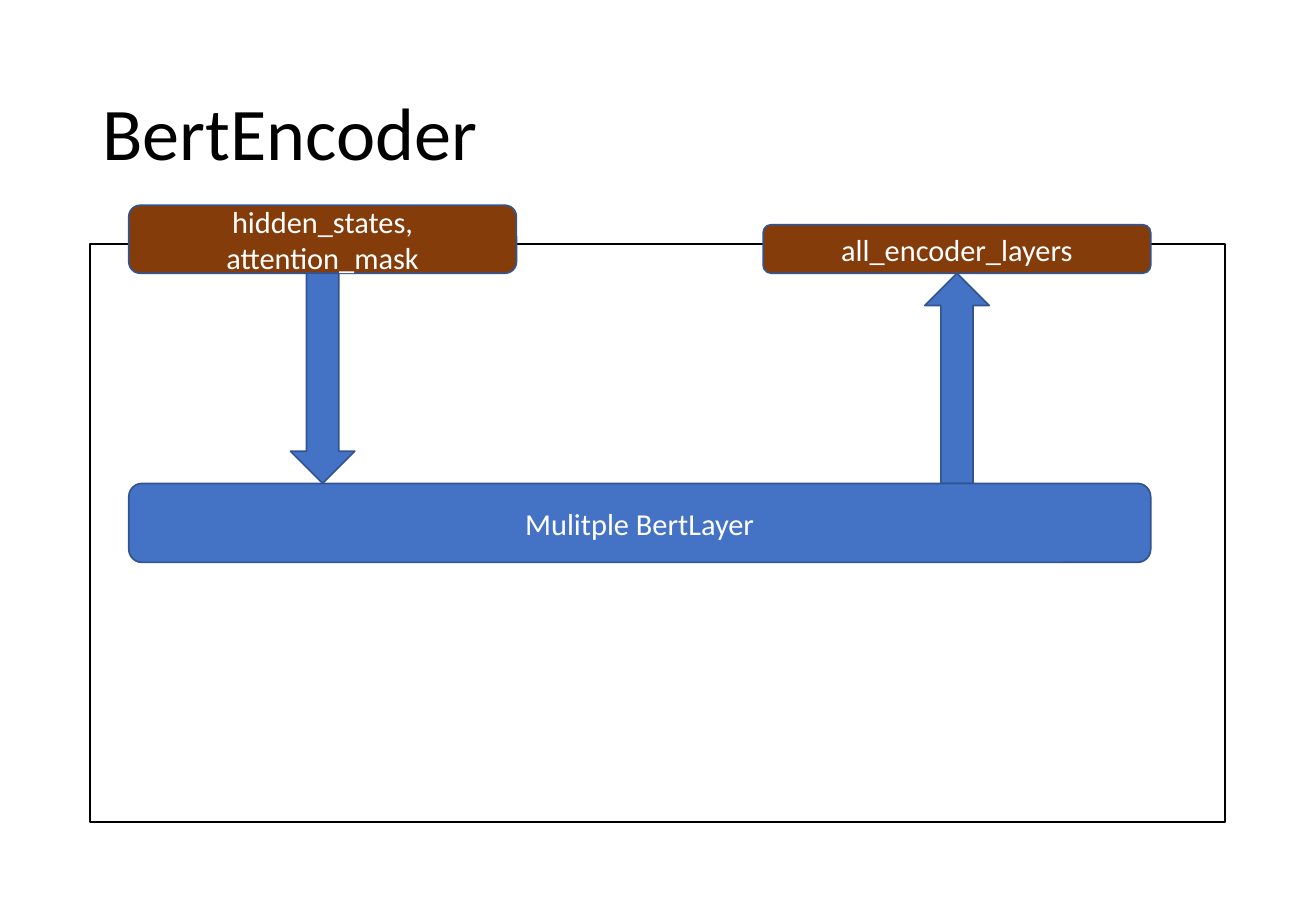
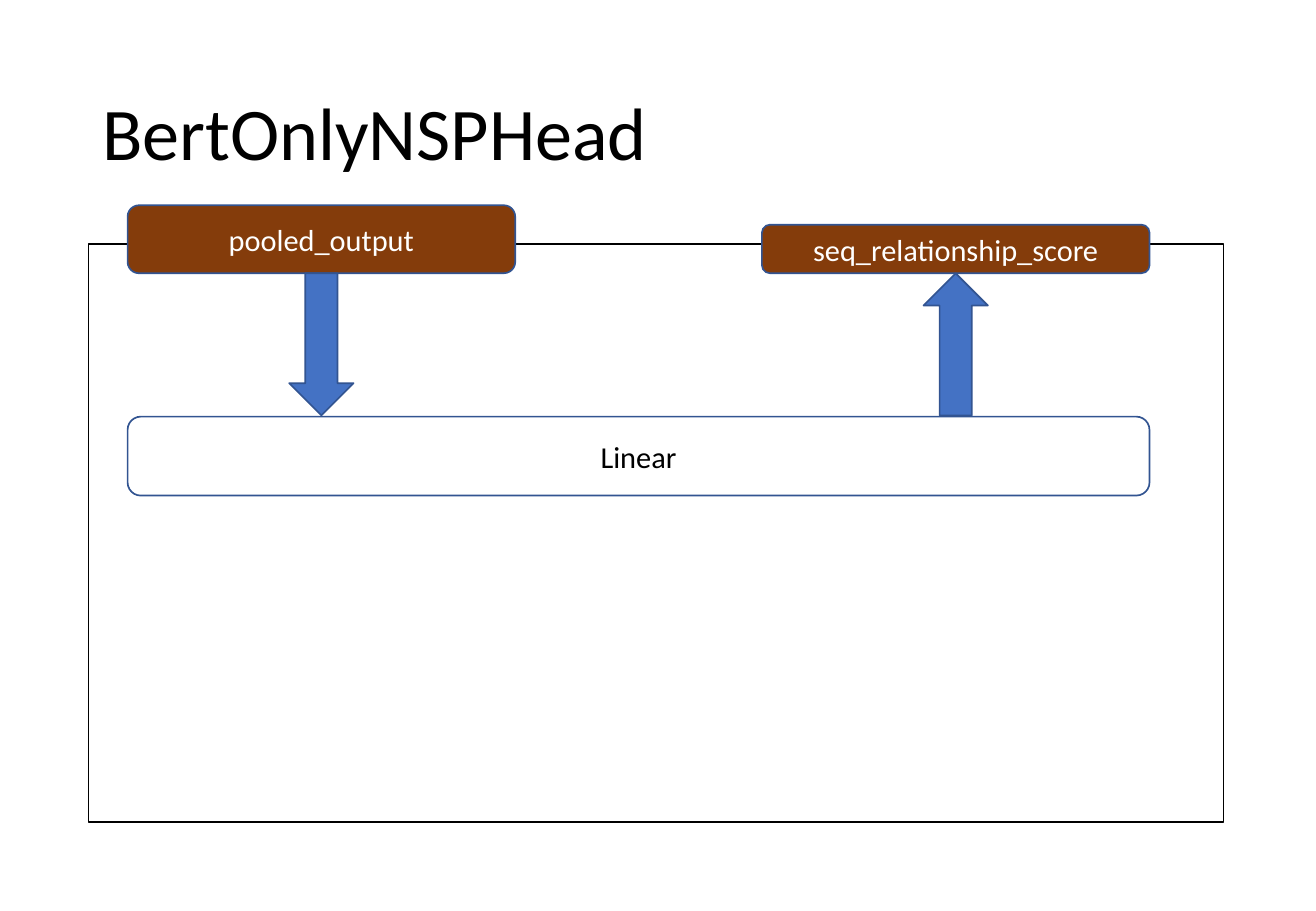
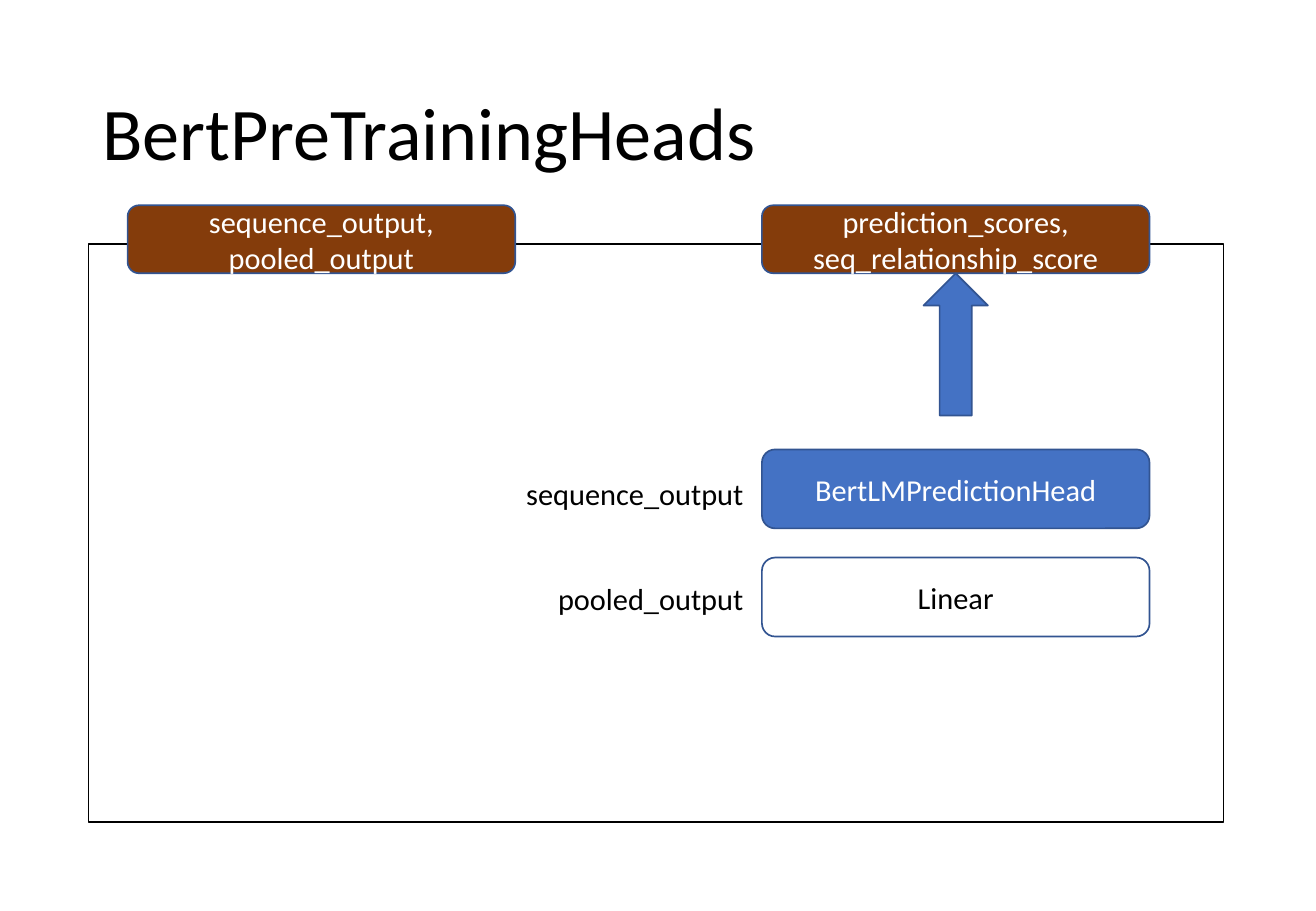
from pptx import Presentation
from pptx.dml.color import RGBColor
from pptx.enum.shapes import MSO_SHAPE
from pptx.enum.text import MSO_ANCHOR, PP_ALIGN
from pptx.util import Inches, Pt

RECT, ROUND, ARROW = MSO_SHAPE.RECTANGLE, MSO_SHAPE.ROUNDED_RECTANGLE, MSO_SHAPE.DOWN_ARROW
MIDDLE, LEFT, CENTER = MSO_ANCHOR.MIDDLE, PP_ALIGN.LEFT, PP_ALIGN.CENTER
BLACK, WHITE, BROWN, BLUE, NAVY = "000000", "FFFFFF", "843C0B", "4472C4", "325491"
FONT = "Calibri"
WIDE, FULL, TALL = 3.19, 8.41, 0.65
PORT_END = 2.25
HEAD = 0.53


def write(frame, text, size, color, align):
    frame.text = text
    para = frame.paragraphs[0]
    para.alignment = align
    para.font.name = FONT
    para.font.size = Pt(size)
    para.font.color.rgb = RGBColor.from_string(color)
    return para


def draw(slide, kind, x, y, w, h, fill, line=NAVY, text="", color=WHITE):
    shape = slide.shapes.add_shape(kind, Inches(x), Inches(y), Inches(w), Inches(h))
    shape.shadow.inherit = False
    if fill:
        shape.fill.solid()
        shape.fill.fore_color.rgb = RGBColor.from_string(fill)
    else:
        shape.fill.background()
    shape.line.color.rgb = RGBColor.from_string(line)
    shape.line.width = Pt(1)
    if text:
        write(shape.text_frame, text, 18, color, CENTER)
    return shape


deck = Presentation()
deck.slide_width, deck.slide_height = Inches(10.83), Inches(7.5)
layout = deck.slide_layouts[5]

pages = [
    ("BertEncoder", 0.74, "hidden_states, attention_mask", "all_encoder_layers", 0.4, 1.73, True,
     [("Mulitple BertLayer", 0, 3.98, FULL, BLUE, WHITE)], []),
    ("BertOnlyNSPHead", 0.73, "pooled_output", "seq_relationship_score", 0.4, 1.17, True,
     [("Linear", 0, 3.43, FULL, WHITE, BLACK)], []),
    ("BertPreTrainingHeads", 0.73, "sequence_output, pooled_output",
     "prediction_scores, seq_relationship_score", 0.56, 1.17, False,
     [("BertLMPredictionHead", FULL - WIDE, 3.7, WIDE, BLUE, WHITE),
      ("Linear", FULL - WIDE, 4.59, WIDE, WHITE, BLACK)],
     [("sequence_output", 3.86, 2.01), ("pooled_output", 4.73, 1.75)]),
]

for name, edge, source, result, high, reach, inflow, layers, labels in pages:
    slide = deck.slides.add_slide(layout)
    title = slide.shapes.title
    title.left, title.top = Inches(0.74), Inches(0.4)
    title.width, title.height = Inches(9.34), Inches(1.45)
    title.text_frame.vertical_anchor = MIDDLE
    write(title.text_frame, name, 44, BLACK, LEFT).line_spacing = 0.9

    inner = edge + 0.32
    outer = inner + FULL - WIDE
    draw(slide, RECT, edge, 2.01, 9.34, 4.76, None, BLACK)
    draw(slide, ROUND, outer, PORT_END - high, WIDE, high, BROWN, text=result)
    draw(slide, ROUND, inner, PORT_END - 0.56, WIDE, 0.56, BROWN, text=source)

    middle = (WIDE - HEAD) / 2
    if inflow:
        draw(slide, ARROW, inner + middle, PORT_END, HEAD, reach, BLUE)
    draw(slide, ARROW, outer + middle, PORT_END, HEAD, reach, BLUE).rotation = 180

    for text, shift, top, width, fill, color in layers:
        draw(slide, ROUND, inner + shift, top, width, TALL, fill, text=text, color=color)

    for text, top, width in labels:
        label = slide.shapes.add_textbox(Inches(6.23 - width), Inches(top), Inches(width), Inches(0.4))
        label.text_frame.word_wrap = False
        write(label.text_frame, text, 18, BLACK, CENTER)

deck.save("out.pptx")
